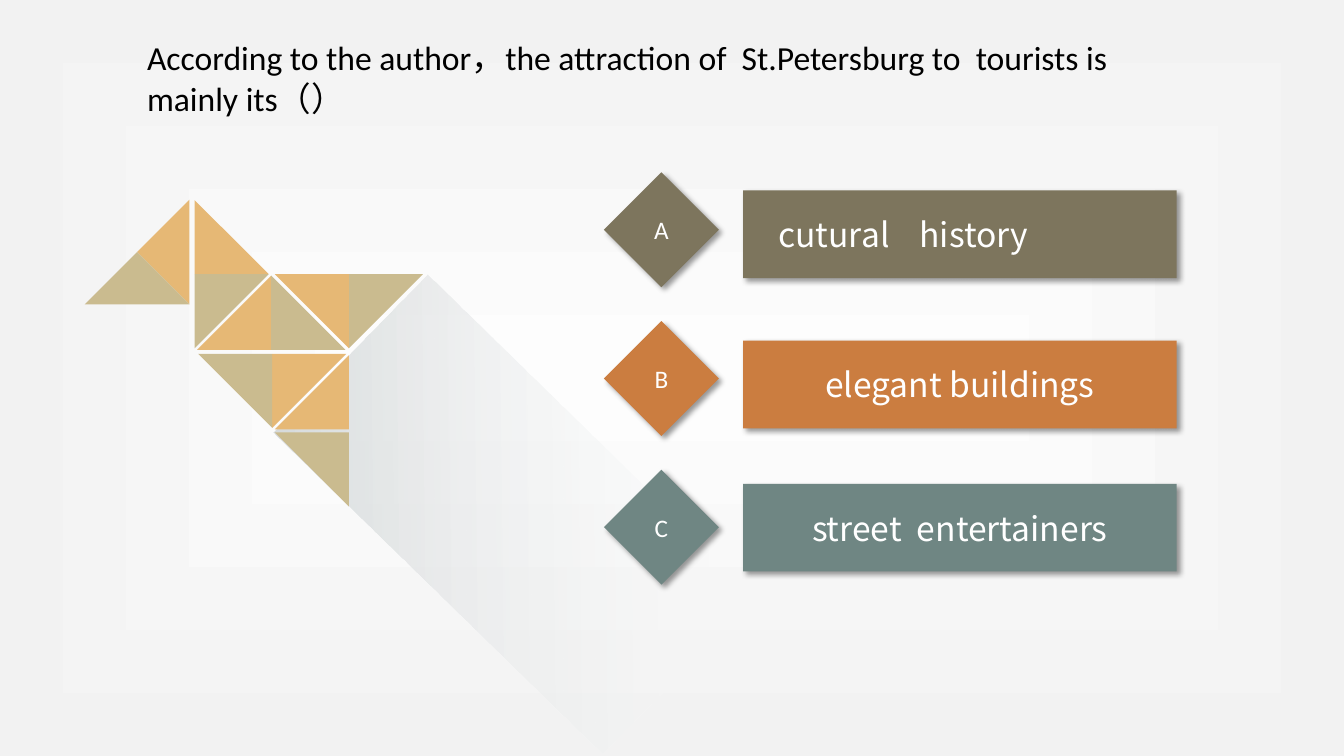
import math

import lxml.etree
import pptx
import pptx.dml.color
import pptx.enum.shapes
import pptx.enum.text
import pptx.oxml
import pptx.oxml.ns
import pptx.util

Inches = pptx.util.Inches
Pt = pptx.util.Pt
SHAPE = pptx.enum.shapes.MSO_SHAPE
ALIGN = pptx.enum.text.PP_ALIGN
COLORS = {
    "paper": "FDFDFD", "edge": "F2F2F2", "haze": "D7DBDC",
    "orange": "E6B875", "sand": "CABB8F",
    "olive": "7D755D", "rust": "CB7D40", "teal": "6F8683",
    "white": "FFFFFF", "black": "000000",
}
LATIN, CJK = "Calibri", "Noto Sans CJK SC"
TRIANGLE_LEG = 0.735
TRIANGLES = [
    (0.52, 0.52, -45, "orange"), (0.52, 0.52, 45, "sand"),
    (1.09, 0.74, -90, "orange"), (1.09, 0.74, 0, "sand"),
    (1.85, 1.49, 180, "orange"), (1.85, 1.49, -90, "sand"),
    (1.86, 1.53, 0, "orange"), (1.86, 1.53, 90, "sand"),
    (2.62, 0.74, 0, "sand"), (2.62, 0.74, 90, "orange"),
    (2.62, 2.31, 90, "sand"), (2.62, 2.28, 180, "orange"),
]
ANSWERS = [
    ("A", "cutural\thistory", "olive", 0.18, ALIGN.LEFT),
    ("B", "elegant buildings", "rust", 1.67, ALIGN.CENTER),
    ("C", "street  entertainers", "teal", 3.09, ALIGN.CENTER),
]


def rgb(name):
    """Return the named colour."""
    return pptx.dml.color.RGBColor.from_string(COLORS[name])


def drawing_xml(tag, body, attributes=""):
    """Parse one DrawingML element."""
    return pptx.oxml.parse_xml(
        f'<a:{tag} {pptx.oxml.ns.nsdecls("a")} {attributes}>{body}</a:{tag}>')


def set_gradient(fill, stops, direction):
    """Give a fill gradient stops of (percent, colour, opacity) and a direction."""
    fill.gradient()
    gradient = fill._xPr.find(pptx.oxml.ns.qn("a:gradFill"))
    marks = "".join(
        f'<a:gs pos="{at * 1000}"><a:srgbClr val="{COLORS[color]}">'
        f'<a:alpha val="{opacity * 1000}"/></a:srgbClr></a:gs>'
        for at, color, opacity in stops)
    fill._xPr.replace(gradient, drawing_xml(
        "gradFill", f"<a:gsLst>{marks}</a:gsLst>{direction}", 'rotWithShape="1"'))


def paint(shape, color):
    """Fill a shape flat, without outline or shadow."""
    shape.shadow.inherit = False
    shape.fill.solid()
    shape.fill.fore_color.rgb = rgb(color)
    shape.line.fill.background()


def write(frame, text, size, font, color, align):
    """Write one run into the first paragraph of a text frame."""
    paragraph = frame.paragraphs[0]
    paragraph.alignment = align
    run = paragraph.add_run()
    run.text = text
    run.font.size = Pt(size)
    run.font.name = font
    run.font.color.rgb = rgb(color)


def add_raised(slide, kind, box, color):
    """Add a flat shape with a soft drop shadow."""
    shape = slide.shapes.add_shape(kind, *map(Inches, box))
    paint(shape, color)
    effects = shape._element.spPr.find(pptx.oxml.ns.qn("a:effectLst"))
    effects.append(drawing_xml(
        "outerShdw",
        f'<a:srgbClr val="{COLORS["black"]}"><a:alpha val="40000"/></a:srgbClr>',
        f'blurRad="{Pt(4)}" dist="{Pt(3)}" dir="2700000" algn="tl" rotWithShape="0"'))
    shape.text_frame.vertical_anchor = pptx.enum.text.MSO_ANCHOR.MIDDLE
    return shape


def add_background(slide):
    """Lay the pale gradient that darkens towards the slide edges."""
    set_gradient(
        slide.background.fill, [(0, "paper", 100), (100, "edge", 100)],
        '<a:path path="shape"><a:fillToRect l="50000" t="50000" r="50000" b="50000"/></a:path>')


def add_bird(slide, left, top):
    """Draw the tangram bird and the long shadow it casts."""
    cast = slide.shapes.add_shape(
        SHAPE.RECTANGLE, Inches(left + 1.99), Inches(top + 2.03), Inches(4.56), Inches(2.19))
    paint(cast, "haze")
    cast.rotation = 44.3
    set_gradient(cast.fill, [(0, "paper", 6), (100, "haze", 100)],
                 '<a:lin ang="8100000" scaled="0"/>')
    for x, y, angle, color in TRIANGLES:
        corner = (left + x, top + y)
        tips = [
            (corner[0] + TRIANGLE_LEG * math.cos(math.radians(turn)),
             corner[1] + TRIANGLE_LEG * math.sin(math.radians(turn)))
            for turn in (angle, angle + 90)]
        outline = slide.shapes.build_freeform(Inches(corner[0]), Inches(corner[1]))
        outline.add_line_segments([(Inches(a), Inches(b)) for a, b in tips], close=True)
        paint(outline.convert_to_shape(), color)


def add_answers(slide, left, top):
    """Place the lettered diamonds and their answer bars."""
    for row, (letter, answer, color, bar_top, align) in enumerate(ANSWERS):
        diamond = add_raised(
            slide, SHAPE.DIAMOND, (left, top + 1.475 * row, 1.14, 1.14), color)
        write(diamond.text_frame, letter, 18, LATIN, "white", ALIGN.CENTER)
        bar = add_raised(
            slide, SHAPE.RECTANGLE, (left + 1.38, top + bar_top, 4.3, 0.87), color)
        if align == ALIGN.LEFT:
            bar.text_frame.margin_left = Inches(0.35)
            bar.text_frame.paragraphs[0]._p.get_or_add_pPr().append(drawing_xml(
                "tabLst", f'<a:tab pos="{Inches(1.4)}" algn="l"/>'))
        write(bar.text_frame, answer, 24, CJK, "white", align)


def add_question(slide, left, top, width, height):
    """Write the question across the top of the slide."""
    question = slide.shapes.add_textbox(*map(Inches, (left, top, width, height)))
    question.text_frame.word_wrap = True
    write(question.text_frame,
          "According to the author，the attraction of  St.Petersburg to  tourists is mainly its（）",
          24, LATIN, "black", ALIGN.LEFT)


def main():
    """Build and save the quiz slide."""
    deck = pptx.Presentation()
    deck.slide_width, deck.slide_height = Inches(13.33), Inches(7.5)
    slide = deck.slides.add_slide(deck.slide_layouts[6])
    add_background(slide)
    add_bird(slide, 0.84, 1.98)
    add_answers(slide, 5.99, 1.71)
    add_question(slide, 1.36, 0.32, 10.48, 0.91)
    deck.save("out.pptx")


if __name__ == "__main__":
    main()
